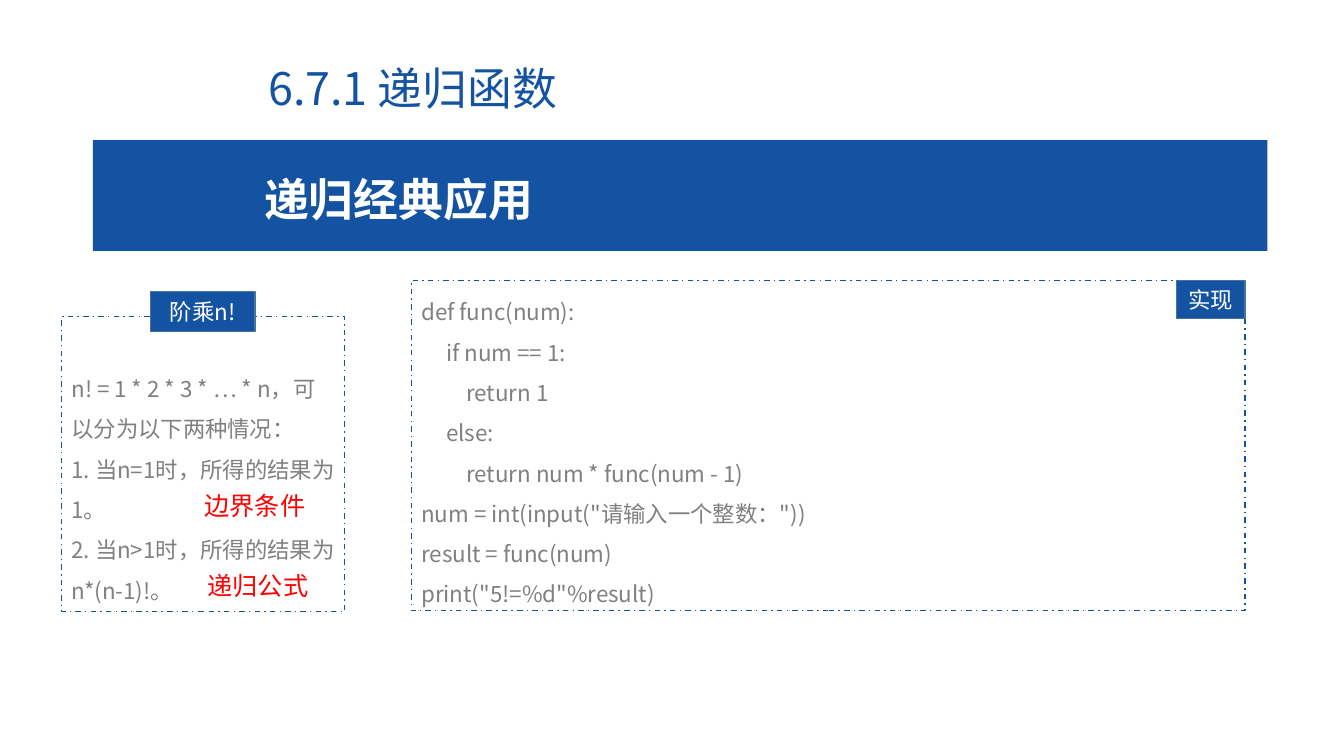
from dataclasses import dataclass

import pptx
import pptx.util
import pptx.dml.color
import pptx.enum.dml
import pptx.enum.shapes
import pptx.enum.text
import pptx.oxml.ns
from lxml import etree

Inches = pptx.util.Inches
ALIGN = pptx.enum.text.PP_ALIGN
ANCHOR = pptx.enum.text.MSO_ANCHOR


@dataclass(frozen=True)
class Theme:
    font: str = "Noto Sans CJK SC"
    blue: str = "1353A2"
    edge: str = "43739E"
    gray: str = "808080"
    red: str = "FF0000"
    white: str = "FFFFFF"
    heading: int = 32
    note: int = 18
    body: int = 16


THEME = Theme()

FACTORIAL = [
    "n! = 1 * 2 * 3 * … * n，可以分为以下两种情况：",
    "1. 当n=1时，所得的结果为1。",
    "2. 当n>1时，所得的结果为n*(n-1)!。",
]
CODE = [
    "def func(num):",
    "     if num == 1:",
    "         return 1",
    "     else:",
    "         return num * func(num - 1)",
    'num = int(input("请输入一个整数："))',
    "result = func(num)",
    'print("5!=%d"%result)',
]


def rgb(value):
    return pptx.dml.color.RGBColor.from_string(value)


def write(tf, lines, size, color, bold=False, align=ALIGN.LEFT,
          anchor=ANCHOR.TOP, spacing=1.0, wrap=True):
    """Fill a text frame with one paragraph per line."""
    tf.word_wrap = wrap
    tf.vertical_anchor = anchor
    for i, line in enumerate(lines):
        p = tf.add_paragraph() if i else tf.paragraphs[0]
        p.text = line
        p.alignment = align
        p.line_spacing = spacing
        p.font.size = pptx.util.Pt(size)
        p.font.bold = bold
        p.font.color.rgb = rgb(color)
        p.font.name = THEME.font
        # East Asian typeface follows the Latin one
        latin = p._p.pPr.find(".//" + pptx.oxml.ns.qn("a:latin"))
        ea = etree.Element(pptx.oxml.ns.qn("a:ea"), typeface=THEME.font)
        latin.addnext(ea)


def rect(s, x, y, w, h, fill=None, line=None, dash=None):
    sp = s.shapes.add_shape(pptx.enum.shapes.MSO_SHAPE.RECTANGLE,
                            Inches(x), Inches(y), Inches(w), Inches(h))
    sp.shadow.inherit = False
    if fill:
        sp.fill.solid()
        sp.fill.fore_color.rgb = rgb(fill)
    else:
        sp.fill.background()
    if line:
        sp.line.color.rgb = rgb(line)
        sp.line.width = pptx.util.Pt(1)
        sp.line.dash_style = dash
    else:
        sp.line.fill.background()
    return sp


def add_title(s, x, y, w, h):
    title = s.shapes.title
    title.left, title.top, title.width, title.height = map(Inches, (x, y, w, h))
    write(title.text_frame, ["6.7.1 递归函数"], THEME.heading, THEME.blue,
          anchor=ANCHOR.MIDDLE, spacing=0.9)


def add_band(s, x, y, w, h):
    rect(s, x, y, w, h, fill=THEME.blue)
    tf = rect(s, x + 1.1, y, w - 1.79, 0.81, fill=THEME.blue).text_frame
    tf.margin_left = Inches(0.6)
    write(tf, ["递归经典应用"], THEME.heading, THEME.white, bold=True, spacing=1.5)


def add_panel(s, x, y, w, h, lines, top_margin=0.05):
    """Dashed frame holding body text."""
    sp = rect(s, x, y, w, h, line=THEME.blue,
              dash=pptx.enum.dml.MSO_LINE.DASH_DOT)
    sp.text_frame.margin_top = Inches(top_margin)
    write(sp.text_frame, lines, THEME.body, THEME.gray, spacing=1.5)


def add_tag(s, x, y, w, h, label):
    sp = rect(s, x, y, w, h, fill=THEME.blue, line=THEME.edge)
    write(sp.text_frame, [label], THEME.body, THEME.white,
          align=ALIGN.CENTER, anchor=ANCHOR.MIDDLE)


def add_note(s, x, y, label):
    tb = s.shapes.add_textbox(Inches(x), Inches(y), Inches(1.21), Inches(0.4))
    write(tb.text_frame, [label], THEME.note, THEME.red, wrap=False)


def add_factorial(s, x, y, w, h):
    add_panel(s, x, y, w, h, FACTORIAL, top_margin=0.45)
    add_tag(s, x + 0.88, y - 0.25, 1.04, 0.4, "阶乘n!")
    add_note(s, x + 1.32, y + 1.68, "边界条件")
    add_note(s, x + 1.35, y + 2.47, "递归公式")


def add_code(s, x, y, w, h):
    add_panel(s, x, y, w, h, CODE)
    add_tag(s, x + w - 0.68, y, 0.68, 0.38, "实现")


def main():
    prs = pptx.Presentation()
    prs.slide_width, prs.slide_height = Inches(13.33), Inches(7.5)
    s = prs.slides.add_slide(prs.slide_layouts[5])
    add_title(s, 2.56, 0.61, 7.66, 0.59)
    add_band(s, 0.92, 1.39, 11.65, 1.1)
    add_factorial(s, 0.61, 3.14, 2.81, 2.93)
    add_code(s, 4.08, 2.78, 8.27, 3.28)
    prs.save("out.pptx")


if __name__ == "__main__":
    main()
